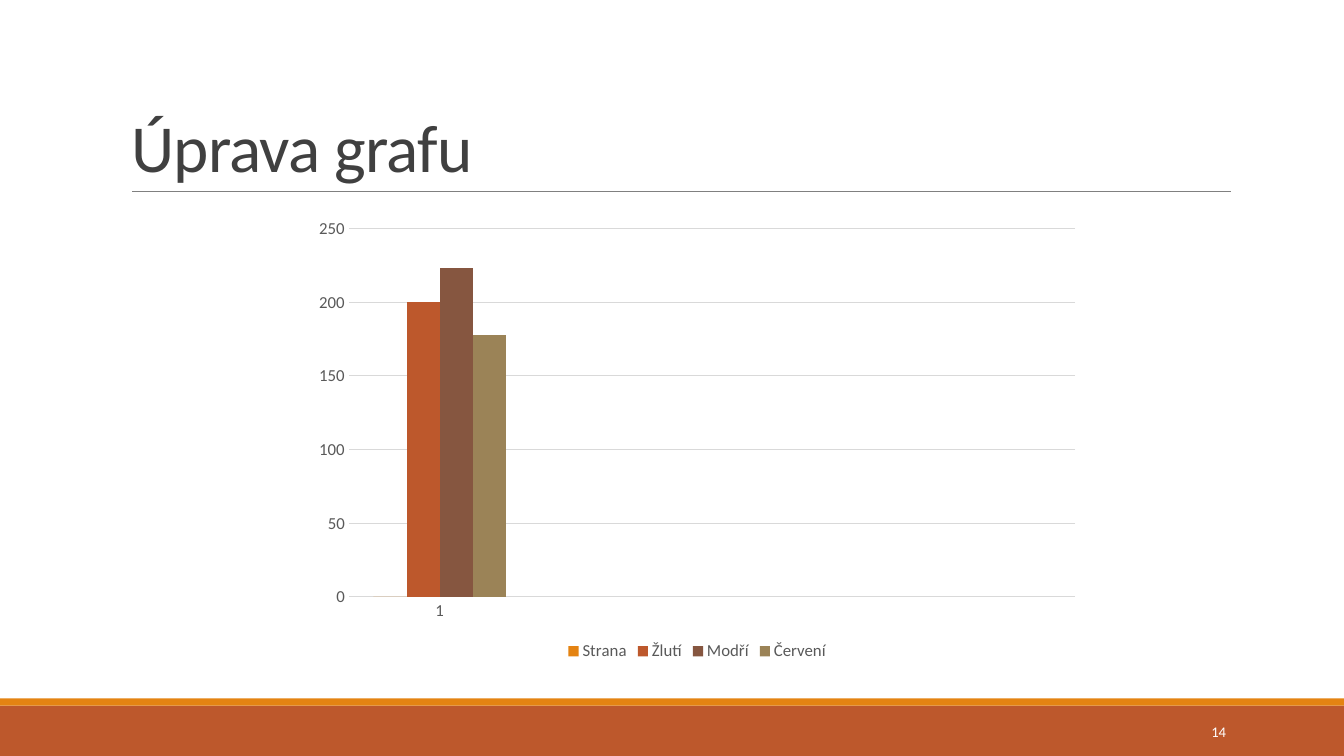
from dataclasses import dataclass
from pptx import Presentation
from pptx.chart.data import CategoryChartData as ChartData
from pptx.dml.color import RGBColor as RGB
from pptx.enum.chart import XL_CHART_TYPE as Kind, XL_LEGEND_POSITION as Legend
from pptx.enum.chart import XL_TICK_MARK as Tick
from pptx.enum.shapes import MSO_CONNECTOR as Line, MSO_SHAPE as Shape
from pptx.enum.text import MSO_ANCHOR as Anchor, MSO_AUTO_SIZE as Fit, PP_ALIGN as Align
from pptx.oxml.ns import qn
from pptx.util import Inches, Pt

# Content
TITLE = "Úprava grafu"
NUMBER = "14"
CATS = ["1", "", "", ""]
PARTIES = [
    ("Strana", 0, "E48312"),
    ("Žlutí", 200, "BD582C"),
    ("Modří", 223, "865640"),
    ("Červení", 178, "9B8357"),
]


@dataclass
class Theme:
    face: str = "Calibri"
    dark: str = "404040"
    grey: str = "595959"
    rule: str = "808080"
    grid: str = "D9D9D9"
    white: str = "FFFFFF"
    rust: str = "BD582C"
    gold: str = "E48312"
    head: float = 48
    label: float = 12
    small: float = 10.5


theme = Theme()
WIDTH, HEIGHT = 13.33, 7.5
BANDS = [(7, 0.5, theme.rust), (6.93, 0.07, theme.gold)]


def style(font, size, color):
    font.name = theme.face
    font.size = Pt(size)
    font.color.rgb = RGB.from_string(color)


def write(frame, text, size, color, align, anchor):
    frame.word_wrap = True
    frame.auto_size = Fit.NONE
    frame.vertical_anchor = anchor
    par = frame.paragraphs[0]
    par.alignment = align
    run = par.add_run()
    run.text = text
    style(run.font, size, color)
    return par, run


def add_bands(slide):
    for top, high, color in BANDS:
        band = slide.shapes.add_shape(
            Shape.RECTANGLE, 0, Inches(top), Inches(WIDTH), Inches(high))
        band.shadow.inherit = False
        band.fill.solid()
        band.fill.fore_color.rgb = RGB.from_string(color)
        band.line.fill.background()


def add_rule(slide):
    rule = slide.shapes.add_connector(
        Line.STRAIGHT, Inches(1.31), Inches(1.9), Inches(12.21), Inches(1.9))
    rule.line.color.rgb = RGB.from_string(theme.rule)
    rule.line.width = Pt(0.5)
    props = rule._element.spPr
    props.append(props.makeelement(qn("a:effectLst"), {}))


def add_title(slide):
    title = slide.shapes.title
    title.left, title.top = Inches(1.2), Inches(0.31)
    title.width, title.height = Inches(11), Inches(1.59)
    par, run = write(title.text_frame, TITLE, theme.head, theme.dark,
                     Align.LEFT, Anchor.BOTTOM)
    par.line_spacing = 0.85
    run.font._element.set("spc", "-50")


def add_number(slide):
    box = slide.shapes.add_textbox(
        Inches(10.83), Inches(7.06), Inches(1.43), Inches(0.4))
    write(box.text_frame, NUMBER, theme.small, theme.white,
          Align.RIGHT, Anchor.MIDDLE)


def add_graph(slide):
    data = ChartData()
    data.categories = CATS
    for name, value, _ in PARTIES:
        data.add_series(name, [value] + [None] * (len(CATS) - 1))
    chart = slide.shapes.add_chart(
        Kind.COLUMN_CLUSTERED, Inches(3.01), Inches(2.08),
        Inches(7.81), Inches(4.52), data).chart
    chart.has_title = False
    style(chart.font, theme.label, theme.grey)

    # Columns
    plot = chart.plots[0]
    plot.gap_width, plot.overlap = 150, 0
    plot.vary_by_categories = False
    for series, (_, _, color) in zip(plot.series, PARTIES):
        series.format.fill.solid()
        series.format.fill.fore_color.rgb = RGB.from_string(color)

    # Axes and grid
    for axis in (chart.category_axis, chart.value_axis):
        axis.major_tick_mark = axis.minor_tick_mark = Tick.NONE
        axis.format.line.fill.background()
        style(axis.tick_labels.font, theme.label, theme.grey)
    scale = chart.value_axis
    scale.minimum_scale, scale.maximum_scale, scale.major_unit = 0, 250, 50
    scale.has_major_gridlines = True
    grid = scale.major_gridlines.format.line
    grid.color.rgb = RGB.from_string(theme.grid)
    grid.width = Pt(0.75)

    # Legend
    chart.has_legend = True
    chart.legend.position = Legend.BOTTOM
    chart.legend.include_in_layout = False
    style(chart.legend.font, theme.label, theme.grey)


def main():
    deck = Presentation()
    deck.slide_width, deck.slide_height = Inches(WIDTH), Inches(HEIGHT)
    slide = deck.slides.add_slide(deck.slide_layouts[5])
    add_bands(slide)
    add_rule(slide)
    add_title(slide)
    add_number(slide)
    add_graph(slide)
    deck.save("out.pptx")


if __name__ == "__main__":
    main()
